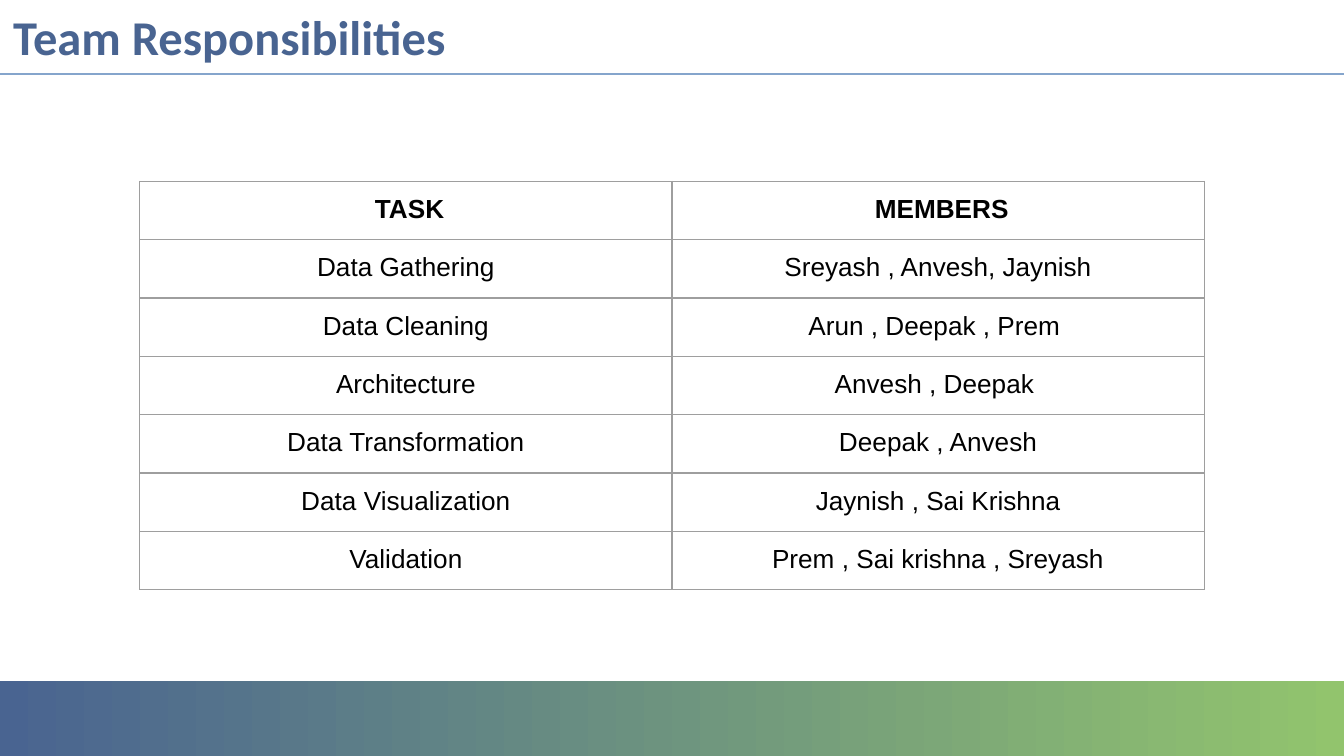
"""Build the team responsibilities slide with its task table."""
import pptx
import pptx.util
import pptx.dml.color
import pptx.enum.shapes
import pptx.enum.text
import pptx.oxml
import pptx.oxml.ns
import lxml.etree

Inches, Pt = pptx.util.Inches, pptx.util.Pt
COLORS = {"blue": "496491", "green": "92C46D", "rule": "85A5CC",
          "border": "9E9E9E", "text": "000000"}
TITLE_FONT = {"name": "Calibri", "size": Pt(26), "bold": True}
HEAD_FONT = {"name": "Arial", "size": Pt(14), "bold": True}
BODY_FONT = {**HEAD_FONT, "bold": False}
MARGINS = {f"margin_{side}": Inches(0.1) for side in ("left", "right", "top", "bottom")}
ROWS = [
    (" TASK", " MEMBERS"),
    ("Data Gathering", "Sreyash , Anvesh, Jaynish"),
    ("Data Cleaning", "Arun , Deepak , Prem "),
    ("Architecture", "Anvesh , Deepak "),
    ("Data Transformation", " Deepak , Anvesh "),
    ("Data Visualization", "Jaynish , Sai Krishna"),
    ("Validation", "Prem , Sai krishna , Sreyash"),
]


def rgb(name):
    return pptx.dml.color.RGBColor.from_string(COLORS[name])


def write(p, text, font, color):
    r = p.add_run()
    r.text = text
    for key, value in font.items():
        setattr(r.font, key, value)
    r.font.color.rgb = rgb(color)


prs = pptx.Presentation()
prs.slide_width = Inches(10)
prs.slide_height = prs.slide_width * 9 // 16
s = prs.slides.add_slide(prs.slide_layouts[6])

band_top = Inches(5.07)
sp = s.shapes.add_shape(pptx.enum.shapes.MSO_SHAPE.RECTANGLE,
                        0, band_top, prs.slide_width, prs.slide_height - band_top)
sp.shadow.inherit = False
sp.line.fill.background()
sp.fill.gradient()
sp.fill.gradient_angle = 0
for stop, color in zip(sp.fill.gradient_stops, ("blue", "green")):
    stop.color.rgb = rgb(color)

cx = s.shapes.add_connector(pptx.enum.shapes.MSO_CONNECTOR.STRAIGHT,
                            Inches(0), Inches(0.55), Inches(10), Inches(0.55))
cx.line.color.rgb = rgb("rule")
cx.line.width = Pt(1.5)
lxml.etree.SubElement(cx._element.spPr, pptx.oxml.ns.qn("a:effectLst"))

tf = s.shapes.add_textbox(Inches(0), Inches(0), Inches(10), Inches(0.6)).text_frame
tf.word_wrap = True
for key, value in MARGINS.items():
    setattr(tf, key, value)
p = tf.paragraphs[0]
p.line_spacing = 0.9
write(p, "Team Responsibilities", TITLE_FONT, "blue")

tbl = s.shapes.add_table(len(ROWS), 2, Inches(1.04), Inches(1.35),
                         Inches(7.92), Inches(0.42 * len(ROWS))).table
tbl.first_row = tbl.horz_banding = False
for i, row in enumerate(ROWS):
    for j, text in enumerate(row):
        cell = tbl.cell(i, j)
        for key, value in MARGINS.items():
            setattr(cell, key, value)
        p = cell.text_frame.paragraphs[0]
        p.alignment = pptx.enum.text.PP_ALIGN.CENTER
        write(p, text, BODY_FONT if i else HEAD_FONT, "text")
        tcPr = cell._tc.get_or_add_tcPr()
        for side in ("lnL", "lnR", "lnT", "lnB"):
            tcPr.append(pptx.oxml.parse_xml(
                f'<a:{side} {pptx.oxml.ns.nsdecls("a")} w="{Pt(0.75)}"><a:solidFill>'
                f'<a:srgbClr val="{COLORS["border"]}"/></a:solidFill></a:{side}>'))
        cell.fill.background()

prs.save("out.pptx")
